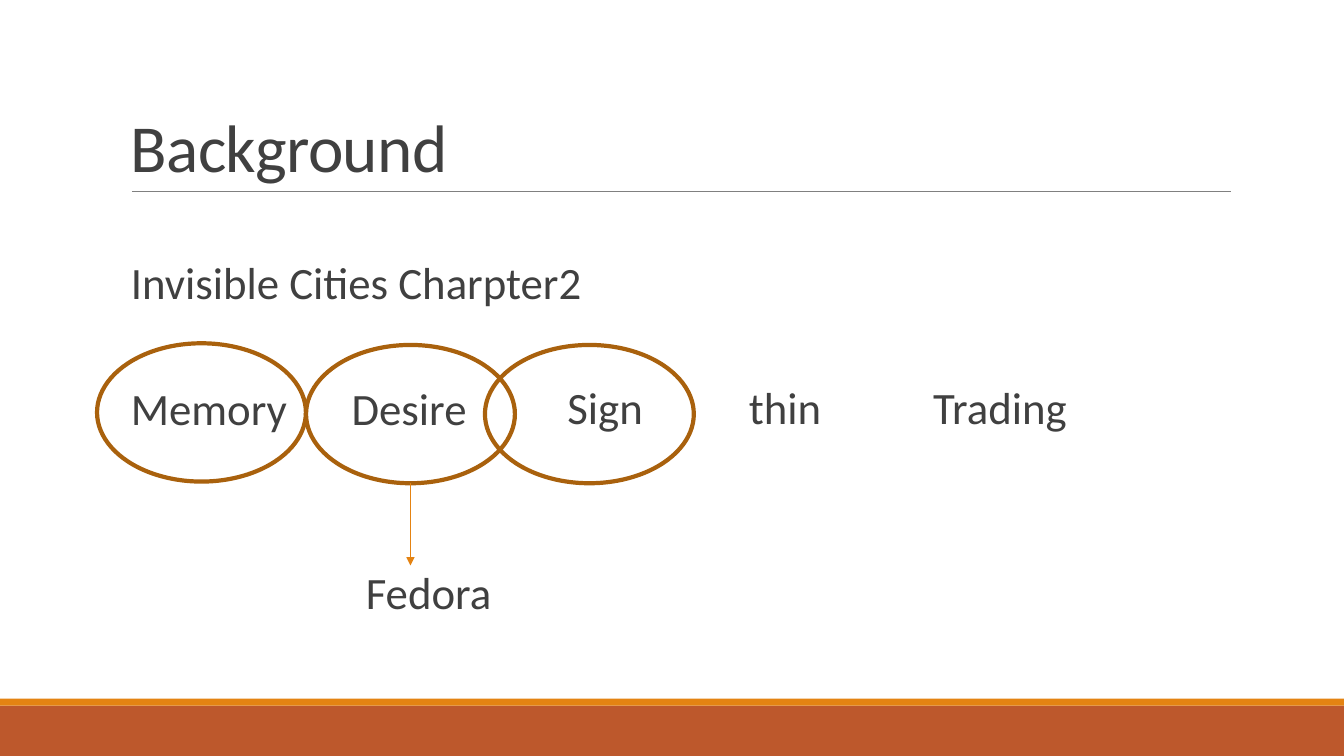
from typing import NamedTuple

from lxml import etree
from pptx import Presentation
from pptx.dml.color import RGBColor
from pptx.enum.shapes import MSO_CONNECTOR, MSO_SHAPE
from pptx.enum.text import MSO_ANCHOR
from pptx.oxml.ns import qn
from pptx.util import Pt

RECTANGLE = MSO_SHAPE.RECTANGLE
OVAL = MSO_SHAPE.OVAL
STRAIGHT = MSO_CONNECTOR.STRAIGHT
BOTTOM = MSO_ANCHOR.BOTTOM

FONT = "Calibri"
INK = "404040"
ORANGE = "E48312"
RUST = "BD582C"
BROWN = "A9610D"
GREY = "808080"

SLIDE_WIDTH, SLIDE_HEIGHT = 960, 540
INDENT = 7.2
WORD_WIDTH, WORD_HEIGHT = 132.5, 44
RING_WIDTH, RING_HEIGHT = 149.2, 98.8


class Phrase(NamedTuple):
    text: str
    left: float
    top: float
    width: float = WORD_WIDTH


class Ring(NamedTuple):
    left: float
    top: float


class Band(NamedTuple):
    top: float
    height: float
    color: str


class Rule(NamedTuple):
    start: tuple[float, float]
    end: tuple[float, float]
    color: str
    weight: float
    arrow: bool = False


BANDS = [Band(504, 36, RUST), Band(499, 5, ORANGE)]
PHRASES = [
    Phrase("Invisible Cities Charpter2", 86.4, 182.9, 792),
    Phrase("Memory", 86.4, 272.9),
    Phrase("Desire", 244.1, 272.9),
    Phrase("Sign", 398.2, 272.2),
    Phrase("thin", 527.8, 272.2),
    Phrase("Trading", 659.5, 272.2),
    Phrase("Fedora", 254.2, 403.9),
]
RINGS = [Ring(69.3, 245.2), Ring(218.6, 246.4), Ring(346.4, 246.4)]
TITLE_RULE = Rule((94.3, 136.6), (879.1, 136.6), GREY, 0.5)
DESIRE_ARROW = Rule((293.2, 345.2), (293.2, 403.9), ORANGE, 1, True)


def rgb(color: str) -> RGBColor:
    return RGBColor.from_string(color)


def draw_band(slide, band: Band) -> None:
    stripe = slide.shapes.add_shape(
        RECTANGLE, 0, Pt(band.top), Pt(SLIDE_WIDTH), Pt(band.height))
    stripe.shadow.inherit = False
    stripe.fill.solid()
    stripe.fill.fore_color.rgb = rgb(band.color)
    stripe.line.fill.background()


def draw_ring(slide, ring: Ring) -> None:
    oval = slide.shapes.add_shape(
        OVAL, Pt(ring.left), Pt(ring.top), Pt(RING_WIDTH), Pt(RING_HEIGHT))
    oval.shadow.inherit = False
    oval.fill.background()
    oval.line.color.rgb = rgb(BROWN)
    oval.line.width = Pt(3)


def draw_rule(slide, rule: Rule) -> None:
    stroke = slide.shapes.add_connector(
        STRAIGHT, *map(Pt, rule.start), *map(Pt, rule.end))
    stroke.line.color.rgb = rgb(rule.color)
    stroke.line.width = Pt(rule.weight)
    if rule.arrow:
        etree.SubElement(stroke.line._get_or_add_ln(), qn("a:tailEnd"), type="triangle")
    etree.SubElement(stroke._element.spPr, qn("a:effectLst"))


def write(slide, phrase: Phrase, height: float, size: float, line_spacing: float):
    frame = slide.shapes.add_textbox(
        Pt(phrase.left), Pt(phrase.top), Pt(phrase.width), Pt(height)).text_frame
    frame.word_wrap = True
    frame.margin_left = Pt(INDENT)
    paragraph = frame.paragraphs[0]
    paragraph.text = phrase.text
    paragraph.line_spacing = line_spacing
    paragraph.font.name = FONT
    paragraph.font.size = Pt(size)
    paragraph.font.color.rgb = rgb(INK)
    return frame


def write_title(slide) -> None:
    frame = write(slide, Phrase("Background", 86.4, 22.6, 792), 114.2, 48, 0.85)
    frame.vertical_anchor = BOTTOM
    frame.paragraphs[0].runs[0].font._element.set("spc", "-50")


def write_phrase(slide, phrase: Phrase) -> None:
    frame = write(slide, phrase, WORD_HEIGHT, 32, 0.9)
    frame.margin_right = 0
    frame.paragraphs[0].space_before = Pt(12)
    frame.paragraphs[0].space_after = Pt(2)


def main() -> None:
    presentation = Presentation()
    presentation.slide_width = Pt(SLIDE_WIDTH)
    presentation.slide_height = Pt(SLIDE_HEIGHT)
    slide = presentation.slides.add_slide(presentation.slide_layouts[6])
    for band in BANDS:
        draw_band(slide, band)
    draw_rule(slide, TITLE_RULE)
    write_title(slide)
    for phrase in PHRASES:
        write_phrase(slide, phrase)
    for ring in RINGS:
        draw_ring(slide, ring)
    draw_rule(slide, DESIRE_ARROW)
    presentation.save("out.pptx")


if __name__ == "__main__":
    main()
